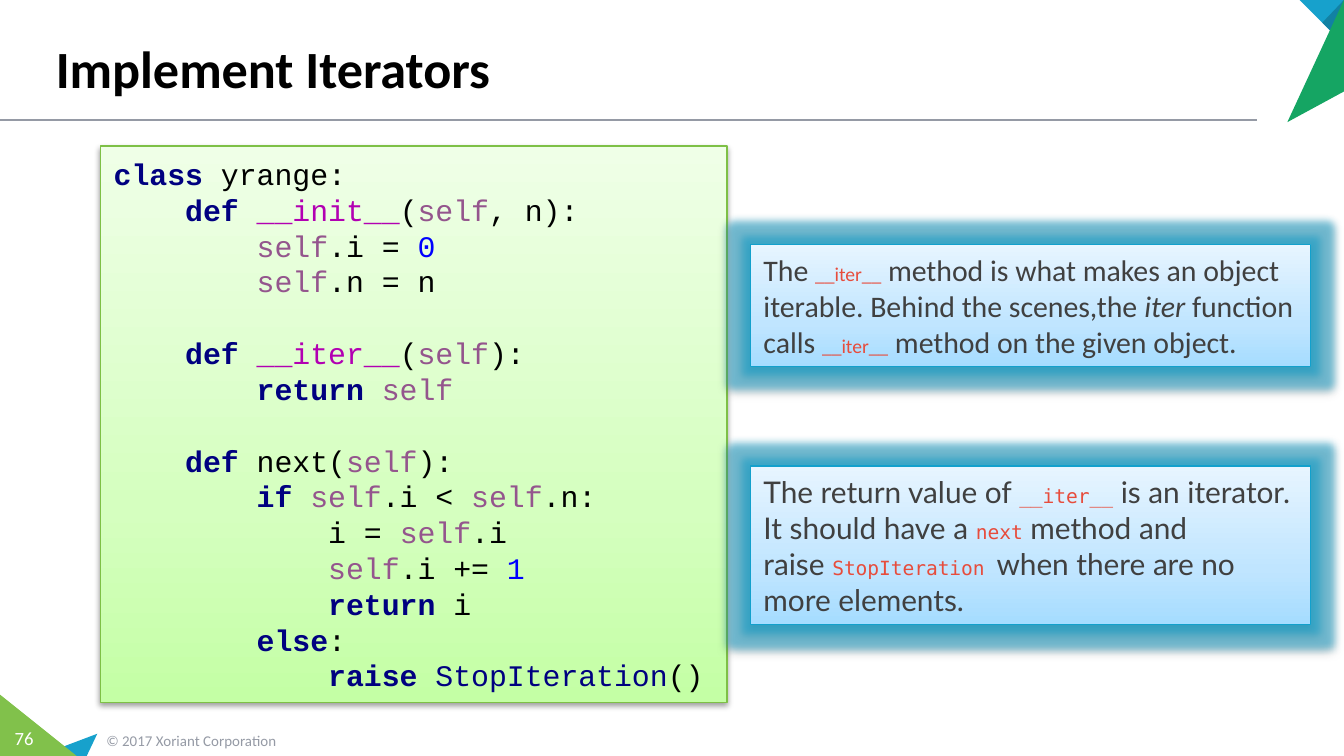
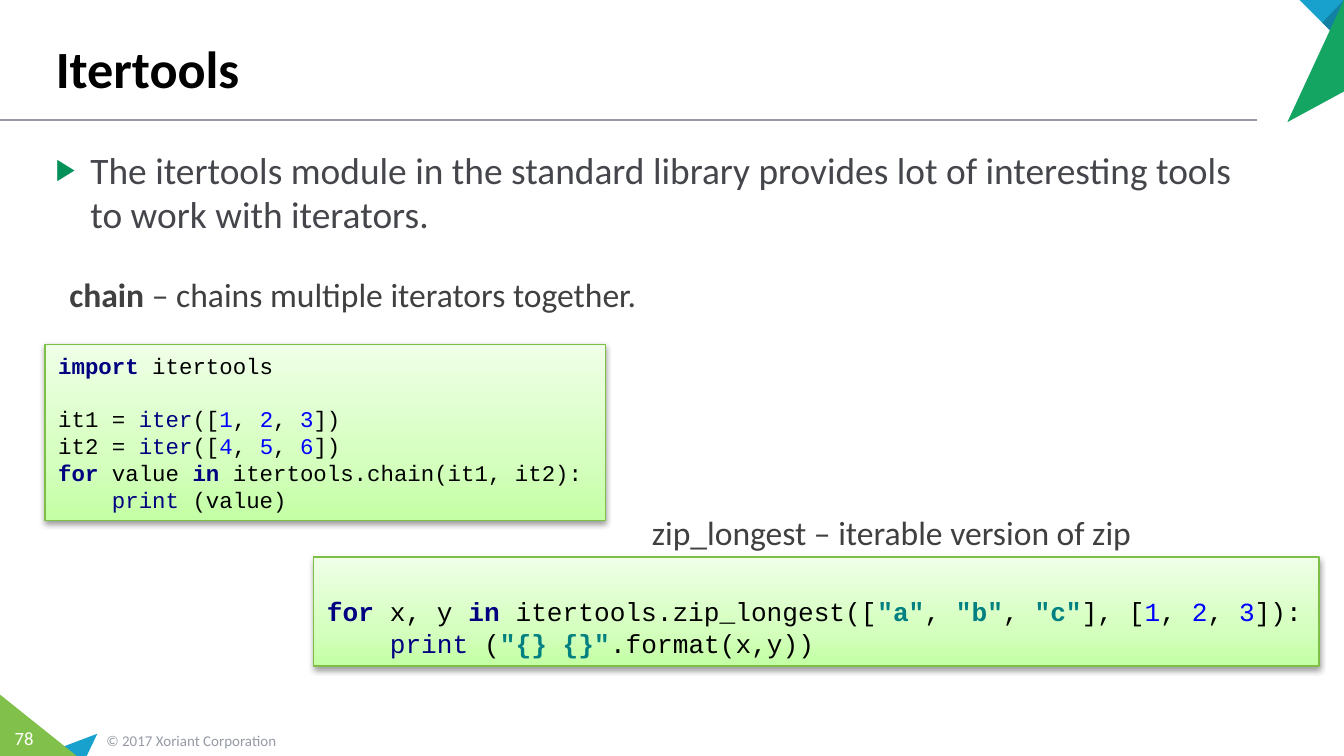
"""Build two slides on Python iterators and itertools."""
import copy
import itertools

import lxml.etree
import pptx
import pptx.dml.color
import pptx.enum.shapes
import pptx.enum.text
import pptx.oxml
import pptx.oxml.ns
import pptx.util

Cm, Pt = pptx.util.Cm, pptx.util.Pt
RGB = pptx.dml.color.RGBColor
qn = pptx.oxml.ns.qn
MIDDLE = pptx.enum.text.MSO_ANCHOR.MIDDLE
LEFT, CENTER = pptx.enum.text.PP_ALIGN.LEFT, pptx.enum.text.PP_ALIGN.CENTER
FIT = pptx.enum.text.MSO_AUTO_SIZE.SHAPE_TO_FIT_TEXT
HARD_SPACE = chr(160)

BLACK, WHITE = RGB(0, 0, 0), RGB(0xFF, 0xFF, 0xFF)
GREY, DARK, BODY = RGB(0x95, 0x9A, 0xA5), RGB(0x40, 0x40, 0x40), RGB(0x44, 0x46, 0x4B)
BLUE, DEEP_BLUE = RGB(0x17, 0xA1, 0xCC), RGB(0x12, 0x81, 0xA3)
LIME, GREEN = RGB(0x81, 0xC1, 0x4B), RGB(0x15, 0xA5, 0x63)
NAVY, MAGENTA, PURPLE = RGB(0, 0, 0x80), RGB(0xB2, 0, 0xB2), RGB(0x94, 0x55, 0x8D)
NUMBER, TEAL, RED = RGB(0, 0, 0xFF), RGB(0, 0x80, 0x80), RGB(0xE7, 0x4C, 0x3C)
CODE_LINE, NOTE_LINE = RGB(0x7E, 0xC0, 0x46), RGB(0x12, 0xA0, 0xCC)
CODE_FILL = [RGB(0xC4, 0xFF, 0xA5), RGB(0xD5, 0xFF, 0xBF), RGB(0xEF, 0xFF, 0xE7)]
NOTE_FILL = [RGB(0xA5, 0xDC, 0xFF), RGB(0xC0, 0xE5, 0xFF), RGB(0xE7, 0xF5, 0xFF)]
SANS, CODE, LATO, MONO = "Calibri", "Courier New", "Lato", "DejaVu Sans Mono"

SHADOW = ('<a:outerShdw blurRad="40000" dist="20000" dir="5400000" rotWithShape="0">'
          '<a:srgbClr val="000000"><a:alpha val="38000"/></a:srgbClr></a:outerShdw>')
GLOW = ('<a:glow rad="101600"><a:srgbClr val="12A0CC">'
        '<a:alpha val="50000"/></a:srgbClr></a:glow>')

KEYWORDS = {"class", "def", "return", "if", "else", "raise", "import", "for", "in"}
BUILTINS = {"iter", "print", "StopIteration"}

CORNERS = [
    (BLUE, [(1.84, 13.87), (1.64, 14.29), (0.73, 14.29)]),
    (LIME, [(0, 13.13), (1.45, 14.29), (0, 14.29)]),
    (BLUE, [(24.56, 0), (25.4, 0), (25.4, 0.84)]),
    (DEEP_BLUE, [(24.99, 0.43), (25.4, 0), (25.4, 0.84)]),
    (GREEN, [(24.33, 2.31), (25.4, 0), (25.4, 1.73)]),
]

YRANGE = """class yrange:
    def __init__(self, n):
        self.i = 0
        self.n = n

    def __iter__(self):
        return self

    def next(self):
        if self.i < self.n:
            i = self.i
            self.i += 1
            return i
        else:
            raise StopIteration()"""

CHAIN = """import itertools

it1 = iter([1, 2, 3])
it2 = iter([4, 5, 6])
for value in itertools.chain(it1, it2):
    print (value)"""

ZIP_LONGEST = """
for x, y in itertools.zip_longest(["a", "b", "c"], [1, 2, 3]):
    print ("{} {}".format(x,y))"""

ITER_NOTE = [
    ("The~", SANS, 16, DARK),
    ("__iter__", SANS, 10.5, RED),
    ("~method is what makes an object iterable. Behind the scenes,the~", SANS, 16, DARK),
    ("iter", SANS, 16, DARK, False, True),
    ("~function calls~", SANS, 16, DARK),
    ("__iter__", SANS, 10.5, RED),
    ("~method on the given object.", SANS, 16, DARK),
]
NEXT_NOTE = [
    ("The return value of~", LATO, 16, DARK),
    ("__iter__", MONO, 10.5, RED),
    ("~is an iterator. It should have a~", LATO, 16, DARK),
    ("next", MONO, 10.5, RED),
    ("~method and raise~", LATO, 16, DARK),
    ("StopIteration ", MONO, 10.5, RED),
    ("when there are no more elements.", LATO, 16, DARK),
]

SLIDES = [
    ("Implement Iterators", "76",
     [((1.9, 2.76, 11.84, 10.52), YRANGE, 16)],
     [((14.18, 4.62, 10.59, 2.31), ITER_NOTE), ((14.18, 8.81, 10.59, 3), NEXT_NOTE)],
     []),
    ("Itertools", "78",
     [((0.85, 6.51, 10.59, 3.33), CHAIN, 12), ((5.93, 10.53, 19, 2.06), ZIP_LONGEST, 14)],
     [],
     [((1.06, 5.05, 11.35, 1.02),
       [("chain", SANS, 18, DARK, True),
        ("~– chains multiple iterators together.", SANS, 18, DARK)], LEFT, 0.25, False),
      ((12.07, 9.55, 9.68, 1.02),
       [("zip_longest~– iterable version of zip", SANS, 18, DARK)], LEFT, 0.25, False)]),
]


def add_runs(p, runs):
    for text, font, size, color, *style in runs:
        bold, italic = (style + [False, False])[:2]
        for i, piece in enumerate(text.replace("~", HARD_SPACE).split("\n")):
            if i:
                p.add_line_break()
                rpr = lxml.etree.SubElement(p._p[-1], qn("a:rPr"), sz=str(int(size * 100)))
                lxml.etree.SubElement(rpr, qn("a:latin"), typeface=font)
            if piece:
                r = p.add_run()
                r.text = piece
                r.font.name, r.font.size = font, Pt(size)
                r.font.bold, r.font.italic = bold, italic
                r.font.color.rgb = color


def add_panel(s, box, colors, line, effects, wrap, runs):
    sp = s.shapes.add_shape(pptx.enum.shapes.MSO_SHAPE.RECTANGLE, *map(Cm, box))
    sp.fill.gradient()
    sp.fill.gradient_angle = 90
    stops = sp._element.spPr.find(".//" + qn("a:gsLst"))
    stops.append(copy.deepcopy(stops[0]))
    for stop, color, position in zip(sp.fill.gradient_stops, colors, (0, 0.35, 1)):
        stop.color.rgb, stop.position = color, position
    sp.line.color.rgb, sp.line.width = line, Pt(0.75)
    sp.shadow.inherit = False
    effect_list = sp._element.spPr.find(qn("a:effectLst"))
    for effect in effects:
        xml = effect.replace(">", f" {pptx.oxml.ns.nsdecls('a')}>", 1)
        effect_list.append(pptx.oxml.parse_xml(xml))
    tf = sp.text_frame
    tf.word_wrap, tf.auto_size, tf.vertical_anchor = wrap, FIT, MIDDLE
    tf.paragraphs[0].alignment = LEFT
    add_runs(tf.paragraphs[0], runs)


prs = pptx.Presentation()
prs.slide_width, prs.slide_height = Cm(25.4), Cm(14.29)

for title, number, codes, notes, labels in SLIDES:
    s = prs.slides.add_slide(prs.slide_layouts[5])

    rule = s.shapes.add_connector(pptx.enum.shapes.MSO_CONNECTOR.STRAIGHT,
                                  Cm(0), Cm(2.27), Cm(23.75), Cm(2.27))
    rule.line.color.rgb, rule.line.width = GREY, Pt(1)
    lxml.etree.SubElement(rule._element.spPr, qn("a:effectLst"))

    for color, points in CORNERS:
        start, *others = [(Cm(x), Cm(y)) for x, y in points]
        builder = s.shapes.build_freeform(*start)
        builder.add_line_segments(others, close=True)
        sp = builder.convert_to_shape()
        sp.fill.solid()
        sp.fill.fore_color.rgb = color
        sp.line.fill.background()
        sp.shadow.inherit = False

    sp = s.shapes.title
    sp.left, sp.top, sp.width, sp.height = map(Cm, (0.8, 0.17, 22.86, 1.83))
    tf = sp.text_frame
    tf.vertical_anchor = pptx.enum.text.MSO_ANCHOR.BOTTOM
    tf.paragraphs[0].alignment = LEFT
    add_runs(tf.paragraphs[0], [(title, SANS, 28, BLACK, True)])

    footers = [
        ((1.76, 13.69, 5.92, 0.61),
         [("© 2017 Xoriant Corporation", SANS, 8, GREY)], LEFT, 0.25, True),
        ((0, 13.61, 0.91, 0.69), [(number, SANS, 10, WHITE)], CENTER, 0, True),
    ]
    for box, runs, align, margin, wrap in footers + labels:
        tf = s.shapes.add_textbox(*map(Cm, box)).text_frame
        tf.word_wrap, tf.auto_size, tf.vertical_anchor = wrap, FIT, MIDDLE
        tf.margin_left = tf.margin_right = Cm(margin)
        tf.paragraphs[0].alignment = align
        add_runs(tf.paragraphs[0], runs)

    for box, code, size in codes:
        tokens = []
        for i, part in enumerate(code.split('"')):
            if i % 2:
                tokens.append((f'"{part}"', TEAL, True))
                continue
            for _, chars in itertools.groupby(part, lambda c: c.isalnum() or c == "_"):
                word = "".join(chars)
                color = BLACK
                if word in KEYWORDS or word in BUILTINS:
                    color = NAVY
                elif word == "self":
                    color = PURPLE
                elif word.startswith("__"):
                    color = MAGENTA
                elif word.isdigit():
                    color = NUMBER
                tokens.append((word, color, word in KEYWORDS))
        runs = [("".join(t[0] for t in group), CODE, size, color, bold)
                for (color, bold), group in itertools.groupby(tokens, lambda t: t[1:])]
        add_panel(s, box, CODE_FILL, CODE_LINE, [SHADOW], False, runs)

    for box, runs in notes:
        add_panel(s, box, NOTE_FILL, NOTE_LINE, [GLOW, SHADOW], True, runs)

tf = s.shapes.add_textbox(Cm(0.8), Cm(2.65), Cm(23.29), Cm(1.96)).text_frame
tf.word_wrap = True
p = tf.paragraphs[0]
ppr = p._p.get_or_add_pPr()
ppr.set("marL", str(Cm(0.66)))
ppr.set("indent", str(Cm(-0.66)))
bullet_color = lxml.etree.SubElement(ppr, qn("a:buClr"))
lxml.etree.SubElement(bullet_color, qn("a:srgbClr"), val="049159")
lxml.etree.SubElement(ppr, qn("a:buSzPct"), val="80000")
lxml.etree.SubElement(ppr, qn("a:buFont"), typeface="Arial")
lxml.etree.SubElement(ppr, qn("a:buChar"), char="▶")
p.space_after = Pt(3)
add_runs(p, [("The itertools module in the standard library provides lot of interesting tools "
              "to work with iterators.", SANS, 20, BODY)])

prs.save("out.pptx")
